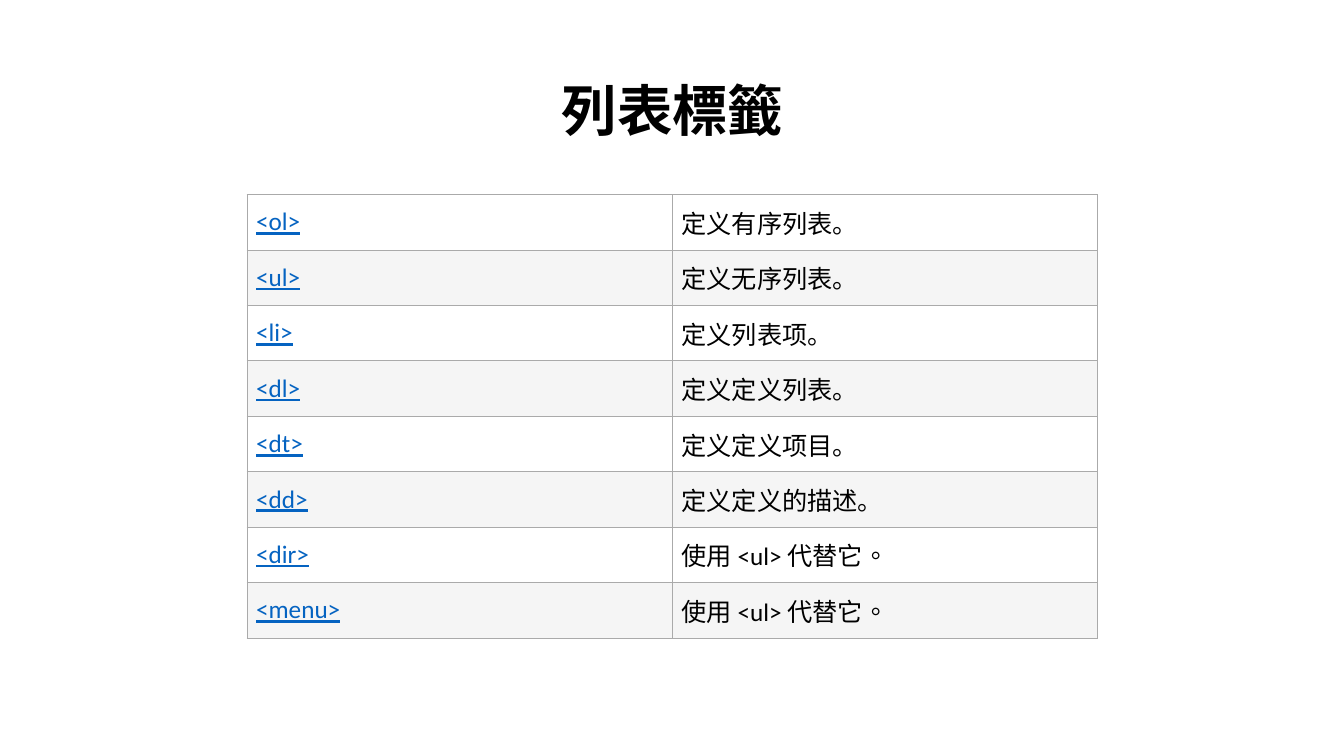
import pptx
import pptx.util
import pptx.dml.color
import pptx.enum.lang
import pptx.enum.text
import pptx.oxml
import pptx.oxml.ns
from pptx.util import Inches

# Content
LANG = pptx.enum.lang.MSO_LANGUAGE_ID
CN, TW = LANG.SIMPLIFIED_CHINESE, LANG.TRADITIONAL_CHINESE
TITLE = "列表標籤"
TAGS = [
    ("<ol>", "定义有序列表。", CN),
    ("<ul>", "定义无序列表。", CN),
    ("<li>", "定义列表项。", CN),
    ("<dl>", "定义定义列表。", CN),
    ("<dt>", "定义定义项目。", CN),
    ("<dd>", "定义定义的描述。", CN),
    ("<dir>", "使用 <ul> 代替它。", TW),
    ("<menu>", "使用 <ul> 代替它。", TW),
]
BLACK, LINK, BORDER = "000000", "0563C1", "AAAAAA"
ROW_FILLS = ("FFFFFF", "F5F5F5")
LEFT, TOP, COL_W, ROW_H, MARGIN = 2.45, 1.93, 4.22, 0.55, 0.09
MIDDLE = pptx.enum.text.MSO_ANCHOR.MIDDLE


def rgb(color):
    return pptx.dml.color.RGBColor.from_string(color)


def write(tf, text, size=18, color=BLACK, bold=False, underline=False,
          align=pptx.enum.text.PP_ALIGN.LEFT, spacing=1.0, lang=CN):
    p = tf.paragraphs[0]
    p.alignment, p.line_spacing = align, spacing
    r = p.add_run()
    r.text = text
    font = r.font
    font.name, font.size = "Calibri", pptx.util.Pt(size)
    font.bold, font.underline = bold, underline
    font.color.rgb = rgb(color)
    font.language_id = lang


def format_cell(cell, fill):
    cell.vertical_anchor = MIDDLE
    cell.margin_left = cell.margin_right = Inches(MARGIN)
    cell.margin_top = cell.margin_bottom = Inches(MARGIN)
    # Borders come before the fill in the cell properties
    tc_pr = cell._tc.get_or_add_tcPr()
    for side in ("lnL", "lnR", "lnT", "lnB"):
        tc_pr.append(pptx.oxml.parse_xml(
            f'<a:{side} {pptx.oxml.ns.nsdecls("a")} w="9525"><a:solidFill>'
            f'<a:srgbClr val="{BORDER}"/></a:solidFill></a:{side}>'))
    cell.fill.solid()
    cell.fill.fore_color.rgb = rgb(fill)


prs = pptx.Presentation()
prs.slide_width, prs.slide_height = Inches(13.33), Inches(7.5)
s = prs.slides.add_slide(prs.slide_layouts[5])

# Title
title = s.shapes.title
title.left, title.top = Inches(0.92), Inches(0.4)
title.width, title.height = Inches(11.5), Inches(1.45)
title.text_frame.vertical_anchor = MIDDLE
write(title.text_frame, TITLE, size=39.6, bold=True, spacing=0.9, lang=TW,
      align=pptx.enum.text.PP_ALIGN.CENTER)

# Table of tags
table = s.shapes.add_table(len(TAGS), 2, Inches(LEFT), Inches(TOP),
                           Inches(2 * COL_W), Inches(len(TAGS) * ROW_H)).table
table.first_row = table.horz_banding = False
for col in table.columns:
    col.width = Inches(COL_W)
for i, (tag, meaning, lang) in enumerate(TAGS):
    table.rows[i].height = Inches(ROW_H)
    for cell in table.rows[i].cells:
        format_cell(cell, ROW_FILLS[i % 2])
    write(table.cell(i, 0).text_frame, tag, color=LINK, underline=True)
    write(table.cell(i, 1).text_frame, meaning, lang=lang)

prs.save("out.pptx")
